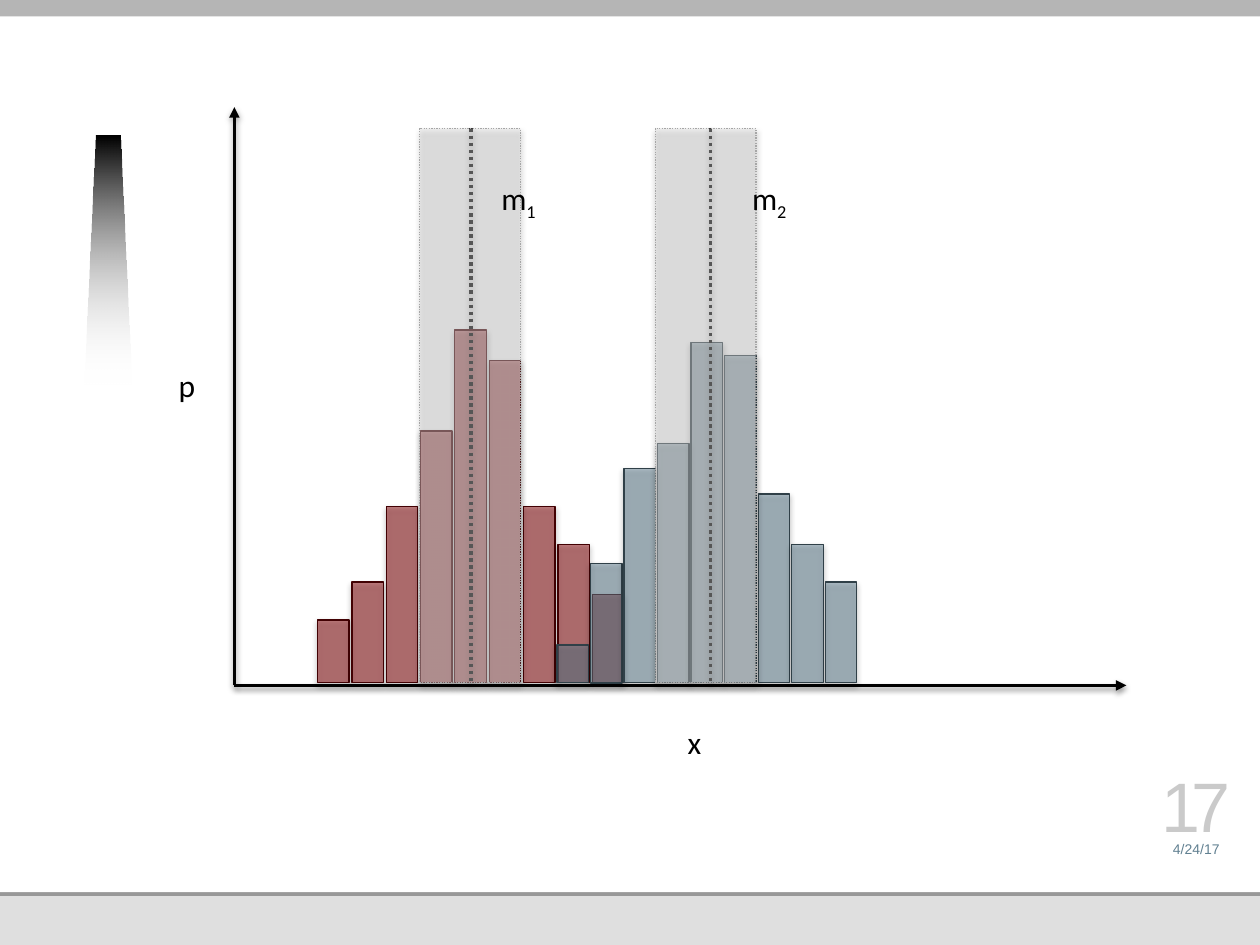
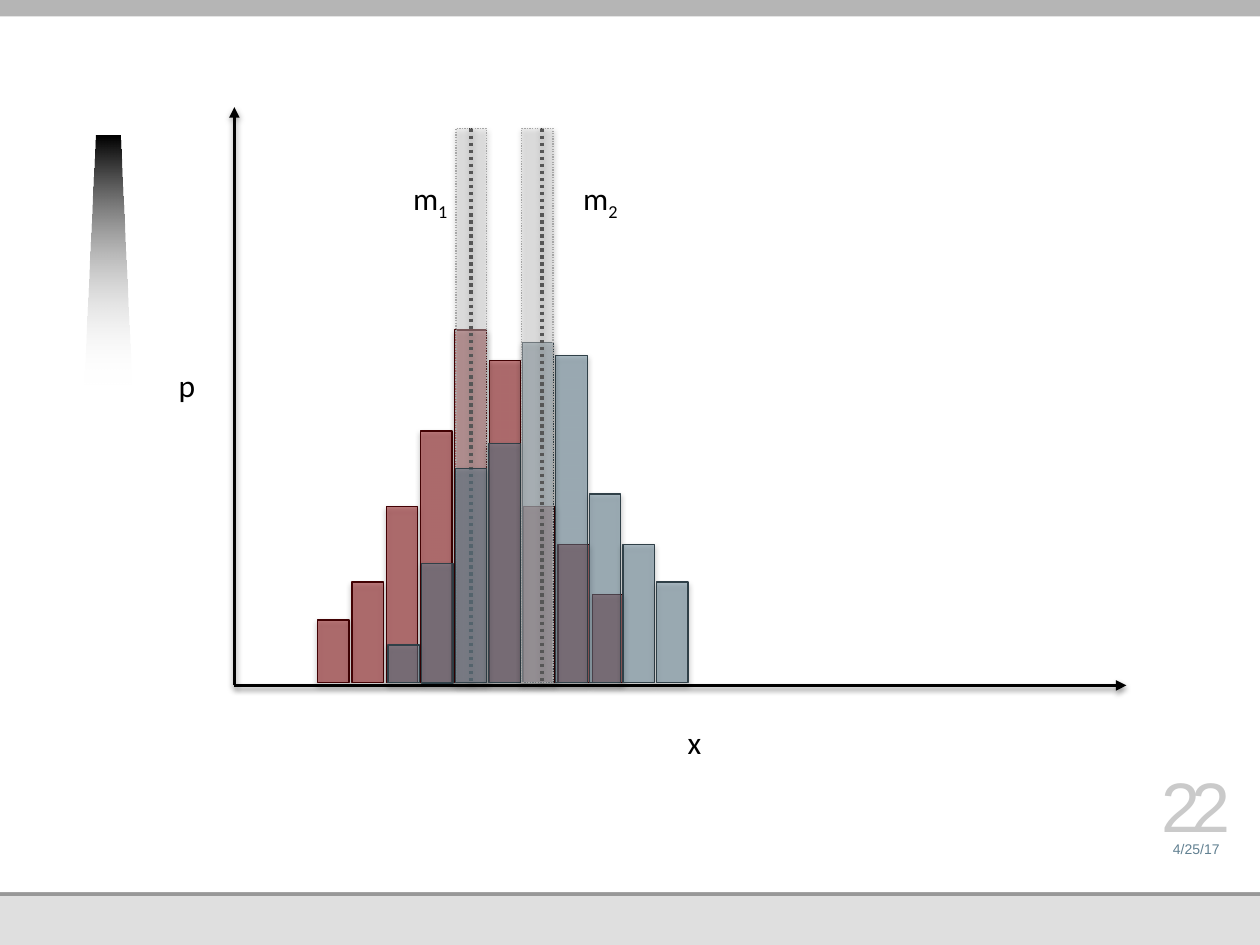
from dataclasses import dataclass

from lxml import etree
from pptx import Presentation
from pptx.dml.color import RGBColor
from pptx.enum.dml import MSO_LINE
from pptx.enum.shapes import MSO_CONNECTOR, MSO_SHAPE
from pptx.enum.text import MSO_ANCHOR, MSO_AUTO_SIZE, PP_ALIGN
from pptx.oxml.ns import qn
from pptx.util import Inches, Pt

RECTANGLE = MSO_SHAPE.RECTANGLE
STRAIGHT = MSO_CONNECTOR.STRAIGHT
DOTTED = MSO_LINE.ROUND_DOT

COLORS = {
    "footer": "DFDFDF",
    "rule": "989898",
    "white": "FFFFFF",
    "top_band": "B5B5B5",
    "black": "000000",
    "number": "CACACA",
    "red": "850205",
    "red_edge": "420103",
    "blue": "618091",
    "blue_edge": "304048",
    "window": "D9D9D9",
    "window_edge": "A6A6A6",
}

SLIDE_WIDTH, SLIDE_HEIGHT = 10, 7.5
AXIS_LEFT, AXIS_RIGHT, AXIS_TOP, AXIS_BOTTOM = 1.86, 8.94, 0.85, 5.44
BAR_BASE, BAR_WIDTH = 5.42, 0.25
MARKER_TOP = 1.02
RED_HEIGHTS = [0.5, 0.8, 1.4, 2, 2.8, 2.56, 1.4, 1.1, 0.7]
BLUE_HEIGHTS = [0.3, 0.95, 1.7, 1.9, 2.7, 2.6, 1.5, 1.1, 0.8]
RED_SPAN, BLUE_SPAN = 2.18, 2.13


@dataclass
class Marker:
    """A dotted mean line inside a translucent window, with its label."""
    index: str
    mean: float
    window_left: float
    window_width: float
    label_left: float


@dataclass
class Histogram:
    color: str
    heights: list
    left: float
    span: float
    marker: Marker


def rgb(name):
    return RGBColor.from_string(COLORS[name])


def add_alpha(color_element, percent):
    etree.SubElement(color_element, qn("a:alpha"), val=str(percent * 1000))


def add_shadow(shape, percent, distance):
    """Cast a soft black shadow straight down; distance is in points."""
    properties = shape._element.spPr
    effects = properties.find(qn("a:effectLst"))
    if effects is None:
        effects = etree.SubElement(properties, qn("a:effectLst"))
    shadow = etree.SubElement(
        effects, qn("a:outerShdw"), blurRad=str(Pt(3.15)),
        dist=str(Pt(distance)), dir="5400000", rotWithShape="0")
    color = etree.SubElement(shadow, qn("a:srgbClr"), val=COLORS["black"])
    add_alpha(color, percent)


class HistogramDeck:
    def __init__(self):
        self.presentation = Presentation()
        self.presentation.slide_width = Inches(SLIDE_WIDTH)
        self.presentation.slide_height = Inches(SLIDE_HEIGHT)
        self.slide = None

    def add_slide(self, number, date):
        layout = self.presentation.slide_layouts[6]
        self.slide = self.presentation.slides.add_slide(layout)
        for color, bottom in (("footer", SLIDE_HEIGHT), ("rule", 7.11),
                              ("white", 7.08), ("top_band", 0.13)):
            self.rectangle(0, 0, SLIDE_WIDTH, bottom, color)
        self.fading_wedge()
        self.footer_text(date, 6.58, 0.22, 8, "blue")
        run = self.footer_text(number, 6.16, 0.56, 40, "number")
        run._r.get_or_add_rPr().set("spc", "-500")

    def rectangle(self, left, top, width, height, color):
        shape = self.slide.shapes.add_shape(
            RECTANGLE, Inches(left), Inches(top), Inches(width), Inches(height))
        shape.shadow.inherit = False
        shape.fill.solid()
        shape.fill.fore_color.rgb = rgb(color)
        shape.line.fill.background()
        return shape

    def glass(self, left, width, height, color, opacity):
        """Draw a translucent outlined column standing on the bar base."""
        shape = self.rectangle(left, BAR_BASE - height, width, height, color)
        fill = shape._element.spPr.find(qn("a:solidFill"))
        add_alpha(fill[0], opacity)
        shape.line.color.rgb = rgb(color + "_edge")
        shape.line.width = Pt(0.75)
        add_shadow(shape, 35, 1.81)
        return shape

    def fading_wedge(self):
        corners = [(0.67, 3.05), (0.76, 1.08), (0.95, 1.08), (1.04, 3.05)]
        points = [(Inches(x), Inches(y)) for x, y in corners]
        builder = self.slide.shapes.build_freeform(*points[0])
        builder.add_line_segments(points[1:], close=True)
        wedge = builder.convert_to_shape()
        wedge.shadow.inherit = False
        wedge.line.fill.background()
        wedge.fill.gradient()
        wedge.fill.gradient_angle = 270
        stops = wedge.fill.gradient_stops
        for stop, color, position in zip(stops, ("black", "white"), (0, 1)):
            stop.color.rgb = rgb(color)
            stop.position = position
        colors = list(wedge._element.spPr.iter(qn("a:srgbClr")))
        add_alpha(colors[-1], 0)

    def line(self, start, end, arrow=False):
        """Draw a solid arrow, or a dotted line without a head."""
        connector = self.slide.shapes.add_connector(
            STRAIGHT, *(Inches(value) for value in start + end))
        connector.line.color.rgb = rgb("black")
        connector.line.width = Pt(2)
        if arrow:
            etree.SubElement(connector.line._get_or_add_ln(),
                             qn("a:tailEnd"), type="triangle")
        else:
            connector.line.dash_style = DOTTED
        add_shadow(connector, 38, 1.57)

    def text_box(self, left, top, width, height, text, font_name, size, color):
        box = self.slide.shapes.add_textbox(
            Inches(left), Inches(top), Inches(width), Inches(height))
        paragraph = box.text_frame.paragraphs[0]
        paragraph.add_run().text = text
        paragraph.font.name = font_name
        paragraph.font.size = Pt(size)
        paragraph.font.color.rgb = rgb(color)
        return box.text_frame

    def footer_text(self, text, top, height, size, color):
        frame = self.text_box(9.13, top, 0.73, height, text, "Arial", size, color)
        frame.margin_left = frame.margin_right = 0
        frame.margin_top = frame.margin_bottom = 0
        frame.word_wrap = True
        frame.vertical_anchor = MSO_ANCHOR.BOTTOM
        paragraph = frame.paragraphs[0]
        paragraph.alignment = PP_ALIGN.CENTER
        return paragraph.runs[0]

    def label(self, left, top, width, text, subscript=""):
        frame = self.text_box(left, top, width, 0.4, text, "Calibri", 18, "black")
        frame.word_wrap = False
        frame.auto_size = MSO_AUTO_SIZE.SHAPE_TO_FIT_TEXT
        if subscript:
            run = frame.paragraphs[0].add_run()
            run.text = subscript
            run._r.get_or_add_rPr().set("baseline", "-25000")

    def axes(self):
        origin = (AXIS_LEFT, AXIS_BOTTOM)
        self.line(origin, (AXIS_RIGHT, AXIS_BOTTOM), arrow=True)
        self.line(origin, (AXIS_LEFT, AXIS_TOP), arrow=True)
        self.label(5.36, 5.69, 0.31, "x")
        self.label(1.32, 2.86, 0.34, "p")

    def histogram(self, histogram):
        pitch = histogram.span / (len(histogram.heights) - 1)
        for index, height in enumerate(histogram.heights):
            self.glass(histogram.left + index * pitch, BAR_WIDTH, height,
                       histogram.color, 50)
        self.marker(histogram.marker)

    def marker(self, marker):
        self.line((marker.mean, MARKER_TOP), (marker.mean, BAR_BASE))
        window = self.glass(marker.window_left, marker.window_width,
                            BAR_BASE - MARKER_TOP, "window", 40)
        window.line.dash_style = DOTTED
        self.label(marker.label_left, 1.37, 0.49, "m", marker.index)


def main():
    slides = [
        ("17", "4/24/17", 4.42,
         Marker("1", 3.74, 3.33, 0.8, 3.88), Marker("2", 5.64, 5.2, 0.8, 5.87)),
        ("22", "4/25/17", 3.08,
         Marker("1", 3.74, 3.62, 0.24, 3.18), Marker("2", 4.3, 4.14, 0.25, 4.53)),
    ]
    deck = HistogramDeck()
    for number, date, blue_left, red_marker, blue_marker in slides:
        deck.add_slide(number, date)
        deck.axes()
        deck.histogram(Histogram("red", RED_HEIGHTS, 2.52, RED_SPAN, red_marker))
        deck.histogram(
            Histogram("blue", BLUE_HEIGHTS, blue_left, BLUE_SPAN, blue_marker))
    deck.presentation.save("out.pptx")


if __name__ == "__main__":
    main()
